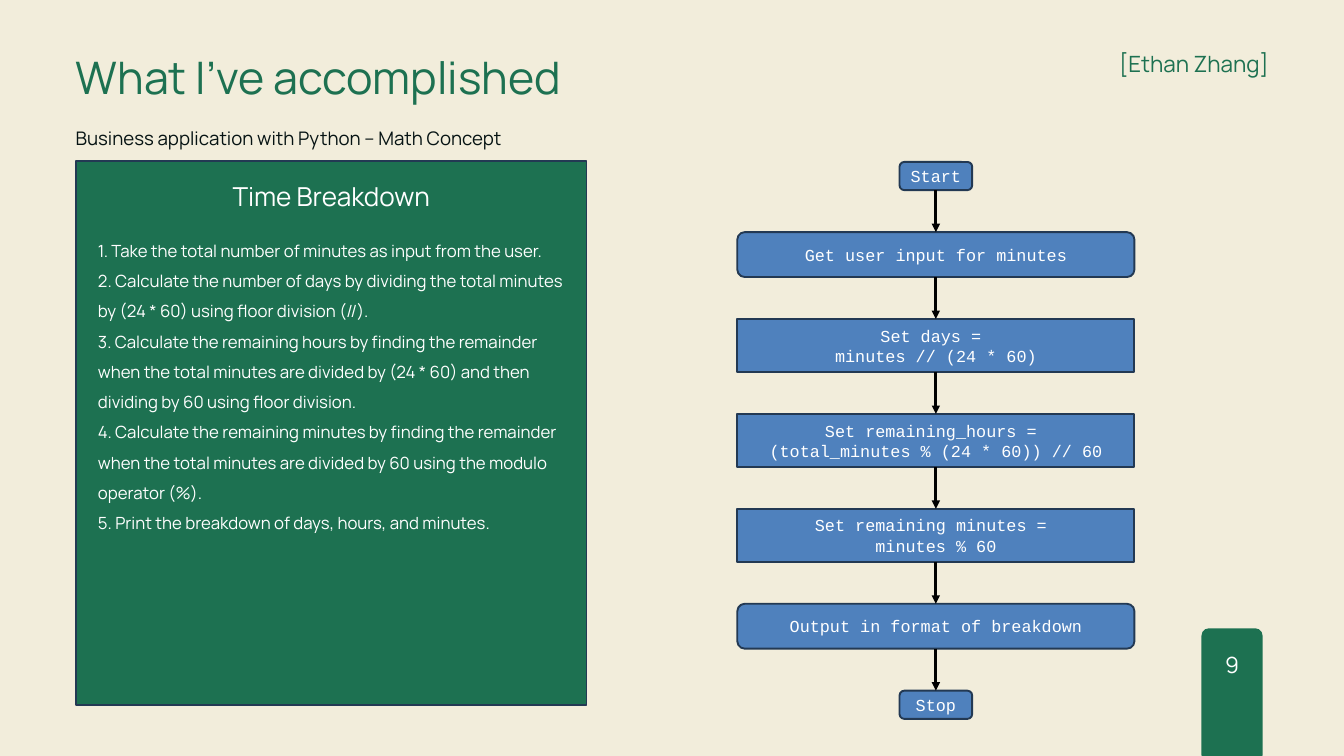
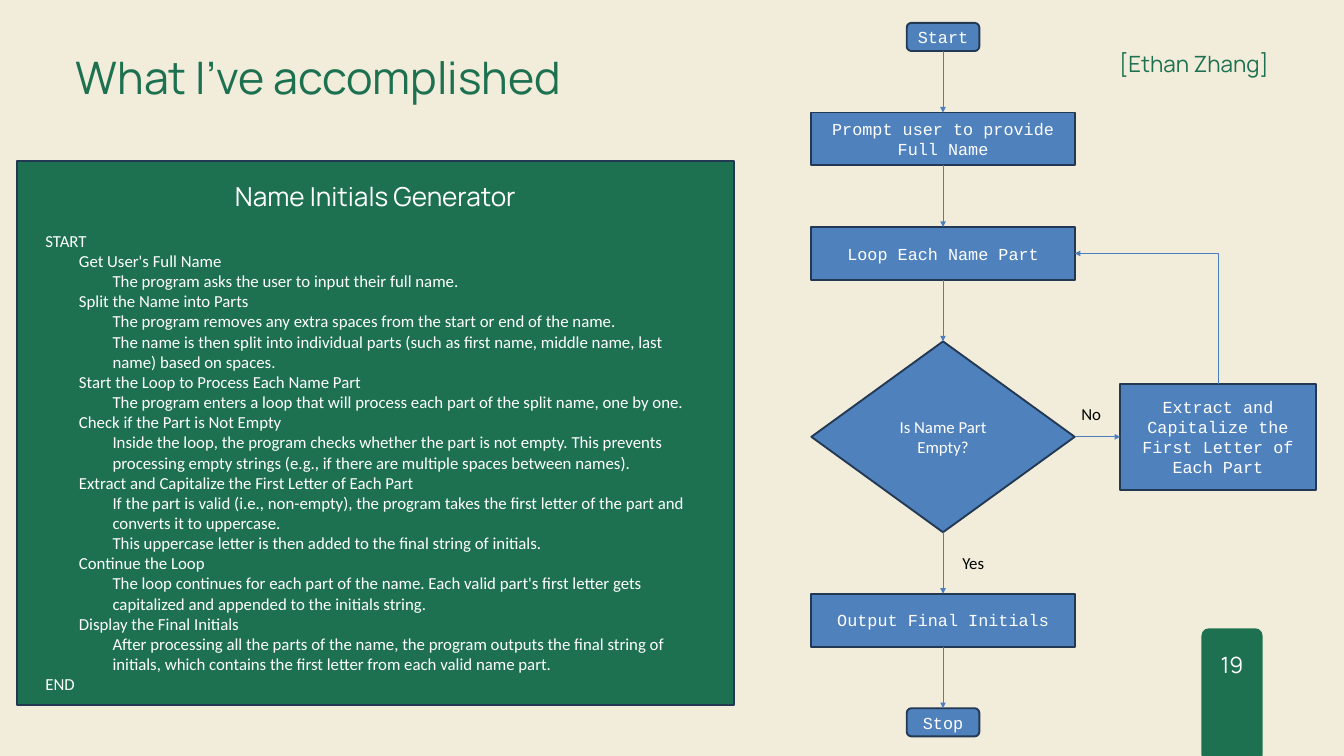
from dataclasses import dataclass
from typing import NamedTuple

from lxml.etree import SubElement
from pptx import Presentation
from pptx.dml.color import RGBColor
from pptx.enum.shapes import MSO_CONNECTOR as Route, MSO_SHAPE as Preset
from pptx.enum.text import MSO_ANCHOR as Anchor, MSO_AUTO_SIZE as Fit, PP_ALIGN as Align
from pptx.oxml.ns import qn
from pptx.util import Pt


@dataclass(frozen=True)
class Theme:
    cream: str = "F2EDDB"
    green: str = "1D7151"
    ink: str = "061313"
    navy: str = "233953"
    blue: str = "4F81BD"
    thin_blue: str = "4B7EBC"
    black: str = "000000"
    white: str = "FFFFFF"
    brand_font: str = "Manrope"
    plain_font: str = "Calibri"
    code_font: str = "Courier New"
    title: int = 48
    heading: int = 28
    label: int = 24
    subtitle: int = 20
    body: int = 18


class Box(NamedTuple):
    x: float
    y: float
    w: float
    h: float

    def lengths(self):
        return [Pt(value) for value in self]


THEME = Theme()
TOP, LEFT, BOTTOM, RIGHT = range(4)
TERMINAL = (Preset.ROUNDED_RECTANGLE, 77.8, 30.2)
NO_INSETS = dict.fromkeys(("margin_left", "margin_top", "margin_right", "margin_bottom"), 0)


def set_formats(target, formats):
    for attribute, value in formats.items():
        setattr(target, attribute, value)


def write(frame, lines, size, color, font, align=Align.LEFT, spacing=None):
    for index, line in enumerate(lines):
        paragraph = frame.add_paragraph() if index else frame.paragraphs[0]
        set_formats(paragraph, {"alignment": align, "line_spacing": spacing})
        run = paragraph.add_run()
        run.text = line
        set_formats(run.font, {"size": Pt(size), "name": font})
        run.font.color.rgb = RGBColor.from_string(color)


def add_text(slide, box, lines, size, color, font=THEME.brand_font, wrap=True, insets=None, **layout):
    frame = slide.shapes.add_textbox(*box.lengths()).text_frame
    set_formats(frame, {"word_wrap": wrap, "auto_size": Fit.SHAPE_TO_FIT_TEXT, **(insets or {})})
    write(frame, lines, size, color, font, **layout)
    return frame


def add_block(slide, preset, box, fill, outline=THEME.navy):
    block = slide.shapes.add_shape(preset, *box.lengths())
    block.shadow.inherit = False
    block.fill.solid()
    block.fill.fore_color.rgb = RGBColor.from_string(fill)
    if outline:
        block.line.color.rgb = RGBColor.from_string(outline)
        block.line.width = Pt(2)
    else:
        block.line.fill.background()
    return block


def add_step(slide, preset, box, lines, font=THEME.code_font):
    step = add_block(slide, preset, box, THEME.blue)
    step.text_frame.vertical_anchor = Anchor.MIDDLE
    write(step.text_frame, lines, THEME.body, THEME.white, font, Align.CENTER)
    return step


def add_arrow(slide, source, source_side, target, target_side, color, width, route=Route.STRAIGHT):
    arrow = slide.shapes.add_connector(route, 0, 0, 0, 0)
    arrow.begin_connect(source, source_side)
    arrow.end_connect(target, target_side)
    arrow.line.color.rgb = RGBColor.from_string(color)
    arrow.line.width = Pt(width)
    properties = arrow.element.spPr
    SubElement(properties.find(qn("a:ln")), qn("a:tailEnd"), type="triangle")
    SubElement(properties, qn("a:effectLst"))
    return arrow


def turn_up_then_left(arrow):
    run, rise = arrow.width, arrow.height
    shift = (run - rise) // 2
    set_formats(arrow, {"left": arrow.left + shift, "top": arrow.top - shift,
                        "width": rise, "height": run})
    properties = arrow.element.spPr
    properties.find(qn("a:prstGeom")).set("prst", "bentConnector2")
    for key, value in {"rot": "16200000", "flipH": "0", "flipV": "1"}.items():
        properties.find(qn("a:xfrm")).set(key, value)


def add_flow(slide, center, top, gap, steps, arrow_style):
    blocks = []
    for (preset, width, height), lines, font in steps:
        box = Box(center - width / 2, top, width, height)
        blocks.append(add_step(slide, preset, box, lines, font))
        top += height + gap
    for source, target in zip(blocks, blocks[1:]):
        add_arrow(slide, source, BOTTOM, target, TOP, **arrow_style)
    return blocks


def add_panel(slide, box, margin, heading, lines, font, spacing=None):
    panel = add_block(slide, Preset.RECTANGLE, box, THEME.green)
    panel.text_frame.vertical_anchor = Anchor.TOP
    write(panel.text_frame, [heading], THEME.heading, THEME.white, THEME.brand_font, Align.CENTER, 1.5)
    body = Box(box.x + margin, box.y + 70.6, box.w - 2 * margin, box.h - 73.4)
    return add_text(slide, body, lines, THEME.body, THEME.white, font, spacing=spacing)


def add_page_tab(slide, box, number):
    tab = add_block(slide, Preset.ROUNDED_RECTANGLE, box, THEME.green, None)
    tab.adjustments[0] = 0.12
    add_text(slide, Box(box.x + 8.6, box.y + 19.4, box.w - 17.2, 33), [number], THEME.label,
             THEME.white, insets=NO_INSETS, align=Align.CENTER, spacing=Pt(33.6))


def start_slide(deck, number):
    slide = deck.slides.add_slide(deck.slide_layouts[6])
    slide.background.fill.solid()
    slide.background.fill.fore_color.rgb = RGBColor.from_string(THEME.cream)
    add_text(slide, Box(81, 54.6, 1173, 57), ["What I’ve accomplished"], THEME.title,
             THEME.green, insets=NO_INSETS, spacing=Pt(56))
    add_text(slide, Box(1079.4, 49, 280, 33), ["[Ethan Zhang]"], THEME.label,
             THEME.green, insets=NO_INSETS, align=Align.RIGHT, spacing=Pt(33.6))
    add_page_tab(slide, Box(1287.3, 673.2, 65.5, 143.6), number)
    return slide


def build_time_breakdown(deck):
    slide = start_slide(deck, "9")
    add_text(slide, Box(81, 120.3, 648, 35), ["Business application with Python – Math Concept"],
             THEME.subtitle, THEME.ink, insets=NO_INSETS, spacing=Pt(39.2))
    add_panel(slide, Box(81.3, 172.8, 547.2, 582.5), 16.6, "Time Breakdown", [
        "1. Take the total number of minutes as input from the user.",
        "2. Calculate the number of days by dividing the total minutes by (24 * 60) "
        "using floor division (//).",
        "3. Calculate the remaining hours by finding the remainder when the total minutes "
        "are divided by (24 * 60) and then dividing by 60 using floor division.",
        "4. Calculate the remaining minutes by finding the remainder when the total minutes "
        "are divided by 60 using the modulo operator (%).",
        "5. Print the breakdown of days, hours, and minutes.",
    ], THEME.brand_font, 1.5)
    exchange = (Preset.ROUNDED_RECTANGLE, 425.5, 48.1)
    calculation = (Preset.RECTANGLE, 425.5, 56.7)
    steps = [
        (TERMINAL, ["Start"]),
        (exchange, ["Get user input for minutes"]),
        (calculation, ["Set days = ", "minutes // (24 * 60)"]),
        (calculation, ["Set remaining_hours = ", "(total_minutes % (24 * 60)) // 60"]),
        (calculation, ["Set remaining minutes = ", "minutes % 60"]),
        (exchange, ["Output in format of breakdown"]),
        (TERMINAL, ["Stop"]),
    ]
    add_flow(slide, 1002.7, 173.5, 45, [(*step, THEME.code_font) for step in steps],
             {"color": THEME.black, "width": 3})


def build_name_initials(deck):
    slide = start_slide(deck, "19")
    outline = [
        (0, "START"),
        (1, "Get User's Full Name"),
        (2, "The program asks the user to input their full name."),
        (1, "Split the Name into Parts"),
        (2, "The program removes any extra spaces from the start or end of the name."),
        (2, "The name is then split into individual parts (such as first name, middle name, "
            "last name) based on spaces."),
        (1, "Start the Loop to Process Each Name Part"),
        (2, "The program enters a loop that will process each part of the split name, one by one."),
        (1, "Check if the Part is Not Empty"),
        (2, "Inside the loop, the program checks whether the part is not empty. This prevents "
            "processing empty strings (e.g., if there are multiple spaces between names)."),
        (1, "Extract and Capitalize the First Letter of Each Part"),
        (2, "If the part is valid (i.e., non-empty), the program takes the first letter of the "
            "part and converts it to uppercase."),
        (2, "This uppercase letter is then added to the final string of initials."),
        (1, "Continue the Loop"),
        (2, "The loop continues for each part of the name. Each valid part's first letter gets "
            "capitalized and appended to the initials string."),
        (1, "Display the Final Initials"),
        (2, "After processing all the parts of the name, the program outputs the final string of "
            "initials, which contains the first letter from each valid name part."),
        (0, "END"),
    ]
    body = add_panel(slide, Box(18, 172.8, 768.2, 582.5), 23.5, "Name Initials Generator",
                     [line for _, line in outline], THEME.plain_font)
    for paragraph, (level, _) in zip(body.paragraphs, outline):
        paragraph.level = level
        properties = paragraph._p.get_or_add_pPr()
        properties.set("marL", str(Pt(36 * level)))
        properties.set("indent", "0")

    center, width = 1010.4, 282.2
    action = (Preset.RECTANGLE, width, 56.7)
    steps = [
        (TERMINAL, ["Start"], THEME.code_font),
        (action, ["Prompt user to provide", "Full Name"], THEME.code_font),
        (action, ["Loop Each Name Part"], THEME.code_font),
        ((Preset.DIAMOND, width, 204.5), ["Is Name Part Empty?"], THEME.plain_font),
        (action, ["Output Final Initials"], THEME.code_font),
        (TERMINAL, ["Stop"], THEME.code_font),
    ]
    arrow_style = {"color": THEME.thin_blue, "width": 0.75}
    _, _, loop, decision, _, _ = add_flow(slide, center, 24.5, 65.9, steps, arrow_style)
    middle = decision.top.pt + decision.height.pt / 2
    extract = add_step(slide, Preset.RECTANGLE, Box(1200.2, middle - 56.9, 209.5, 113.8),
                       ["Extract and Capitalize the First Letter of Each Part"])
    add_arrow(slide, decision, RIGHT, extract, LEFT, **arrow_style)
    turn_up_then_left(add_arrow(slide, extract, TOP, loop, RIGHT, route=Route.ELBOW, **arrow_style))
    branches = {"No": Box(center + width / 2, middle - 39, 36, 29),
                "Yes": Box(center + 13.5, middle + 121, 38, 29)}
    for answer, box in branches.items():
        add_text(slide, box, [answer], THEME.body, THEME.black, THEME.plain_font, wrap=False)


def main():
    deck = Presentation()
    set_formats(deck, {"slide_width": Pt(1440), "slide_height": Pt(810)})
    build_time_breakdown(deck)
    build_name_initials(deck)
    deck.save("out.pptx")


if __name__ == "__main__":
    main()
